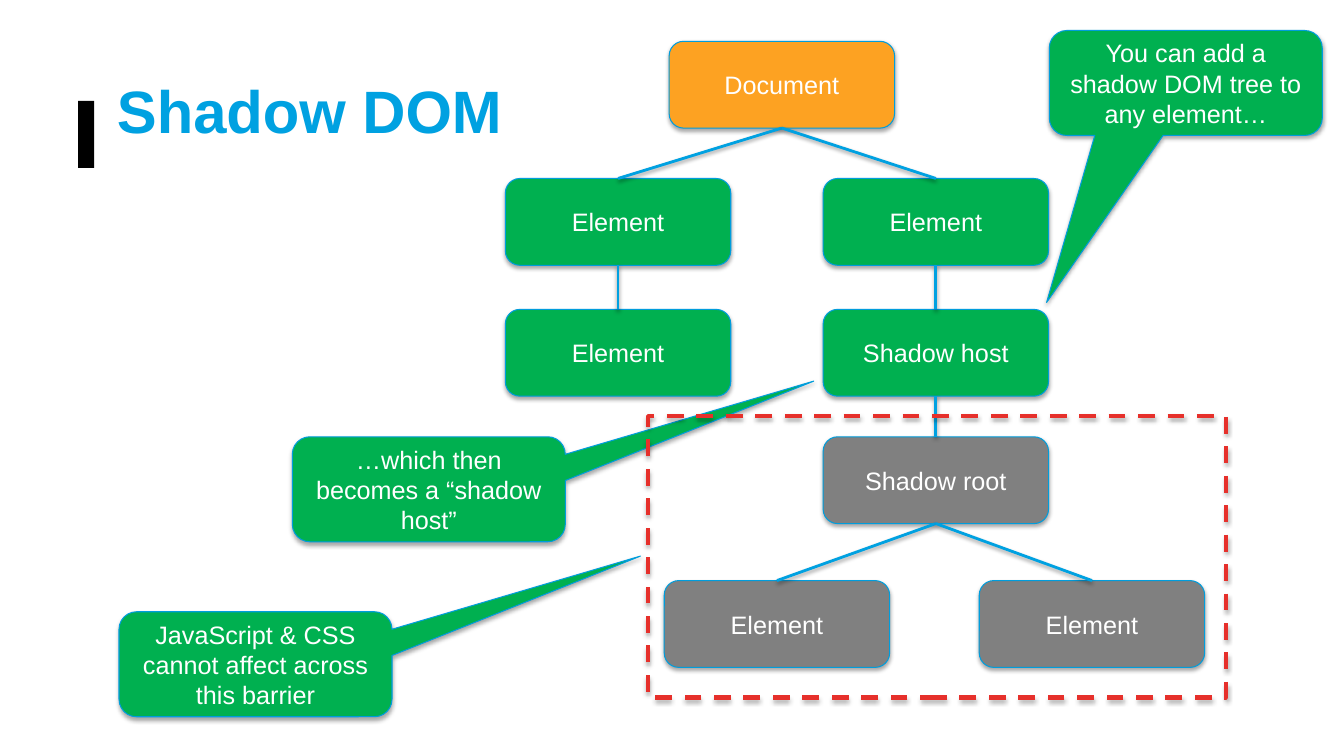
"""Build the Shadow DOM slide: a node tree, its barrier and three callouts."""
from lxml.etree import SubElement
from pptx import Presentation
from pptx.dml.color import RGBColor
from pptx.enum.dml import MSO_LINE
from pptx.enum.shapes import MSO_CONNECTOR, MSO_SHAPE
from pptx.enum.text import MSO_ANCHOR, PP_ALIGN
from pptx.oxml.ns import qn
from pptx.util import Pt

COLORS = {
    "black": "000000",
    "white": "FFFFFF",
    "orange": "FDA222",
    "green": "00B050",
    "gray": "808080",
    "outline": "009DDC",
    "blue": "00A1E1",
    "red": "E6302B",
}
NODE_SIZE = (161, 62)
CALLOUT_SIZE = (195, 75)
LEFT_COLUMN, RIGHT_COLUMN = 361, 588
BOTTOM, TOP = 2, 0


def rgb(name):
    """Return the named colour."""
    return RGBColor.from_string(COLORS[name])


def add_shadow(element, opacity=35, distance=1.8):
    """Add a soft shadow that falls straight down."""
    effects = SubElement(element.spPr, qn("a:effectLst"))
    shadow = SubElement(effects, qn("a:outerShdw"), blurRad=str(Pt(3.1)),
                        dist=str(Pt(distance)), dir="5400000", rotWithShape="0")
    color = SubElement(shadow, qn("a:srgbClr"), val=COLORS["black"])
    SubElement(color, qn("a:alpha"), val=str(opacity * 1000))


def write_text(shape, text, size=18, color="white", bold=False, align=PP_ALIGN.CENTER):
    """Write one formatted paragraph, centred vertically in the shape."""
    frame = shape.text_frame
    frame.word_wrap = True
    frame.vertical_anchor = MSO_ANCHOR.MIDDLE
    paragraph = frame.paragraphs[0]
    paragraph.alignment = align
    run = paragraph.add_run()
    run.text = text
    run.font.name = "Arial"
    run.font.size = Pt(size)
    run.font.bold = bold
    run.font.color.rgb = rgb(color)


def add_box(slide, kind, position, size, fill=None, line="outline", width=0.75):
    """Add a filled or hollow shape with an outline and a shadow."""
    shape = slide.shapes.add_shape(kind, *map(Pt, position + size))
    if fill:
        shape.fill.solid()
        shape.fill.fore_color.rgb = rgb(fill)
    else:
        shape.fill.background()
    shape.line.color.rgb = rgb(line)
    shape.line.width = Pt(width)
    add_shadow(shape.element)
    return shape


def add_node(slide, text, left, top, fill):
    """Add one node of the tree."""
    node = add_box(slide, MSO_SHAPE.ROUNDED_RECTANGLE, (left, top), NODE_SIZE, fill)
    write_text(node, text)
    return node


def add_branch(slide, parent, child):
    """Join the bottom of a parent node to the top of its child."""
    branch = slide.shapes.add_connector(MSO_CONNECTOR.STRAIGHT, 0, 0, 0, 0)
    branch.begin_connect(parent, BOTTOM)
    branch.end_connect(child, TOP)
    branch.line.color.rgb = rgb("blue")
    branch.line.width = Pt(2)
    add_shadow(branch._element, opacity=38, distance=1.6)


def add_callout(slide, text, left, top, tip):
    """Add a callout whose tip is an offset in shares of its size."""
    callout = add_box(slide, MSO_SHAPE.ROUNDED_RECTANGULAR_CALLOUT,
                      (left, top), CALLOUT_SIZE, "green")
    callout.adjustments[0], callout.adjustments[1] = tip
    write_text(callout, text)


def add_title(slide, text):
    """Add the title and the black bar beside it."""
    bar = slide.shapes.add_shape(MSO_SHAPE.RECTANGLE, Pt(55.8), Pt(72), Pt(11.5), Pt(48))
    bar.shadow.inherit = False
    bar.fill.solid()
    bar.fill.fore_color.rgb = rgb("black")
    bar.line.fill.background()
    title = slide.shapes.add_textbox(Pt(76.5), Pt(26), Pt(781), Pt(104.5))
    write_text(title, text, size=42.7, color="blue", bold=True, align=PP_ALIGN.LEFT)


def add_tree(slide):
    """Add the document tree and the shadow tree with their branches."""
    document = add_node(slide, "Document", 478, 29.5, "orange")
    left_parent = add_node(slide, "Element", LEFT_COLUMN, 127.5, "green")
    left_child = add_node(slide, "Element", LEFT_COLUMN, 221, "green")
    right_parent = add_node(slide, "Element", RIGHT_COLUMN, 127.5, "green")
    host = add_node(slide, "Shadow host", RIGHT_COLUMN, 221, "green")
    root = add_node(slide, "Shadow root", RIGHT_COLUMN, 312, "gray")
    shadow_children = [add_node(slide, "Element", left, 414.7, "gray")
                       for left in (474.5, 699.5)]
    branches = [(document, left_parent), (left_parent, left_child),
                (document, right_parent), (right_parent, host), (host, root)]
    branches += [(root, child) for child in shadow_children]
    for parent, child in branches:
        add_branch(slide, parent, child)


def main():
    """Build and save the slide."""
    presentation = Presentation()
    presentation.slide_width, presentation.slide_height = Pt(960), Pt(540)
    slide = presentation.slides.add_slide(presentation.slide_layouts[6])
    add_title(slide, "Shadow DOM")
    add_tree(slide)
    add_callout(slide, "You can add a shadow DOM tree to any element…",
                749.5, 21.8, (-0.51, 2.09))
    add_callout(slide, "…which then becomes a “shadow host”", 208.8, 312, (1.41, -1.03))
    barrier = add_box(slide, MSO_SHAPE.RECTANGLE, (463, 297.2), (412.5, 201),
                      line="red", width=3)
    barrier.line.dash_style = MSO_LINE.DASH
    add_callout(slide, "JavaScript & CSS cannot affect across this barrier",
                85, 437, (1.41, -1.03))
    presentation.save("out.pptx")


if __name__ == "__main__":
    main()
